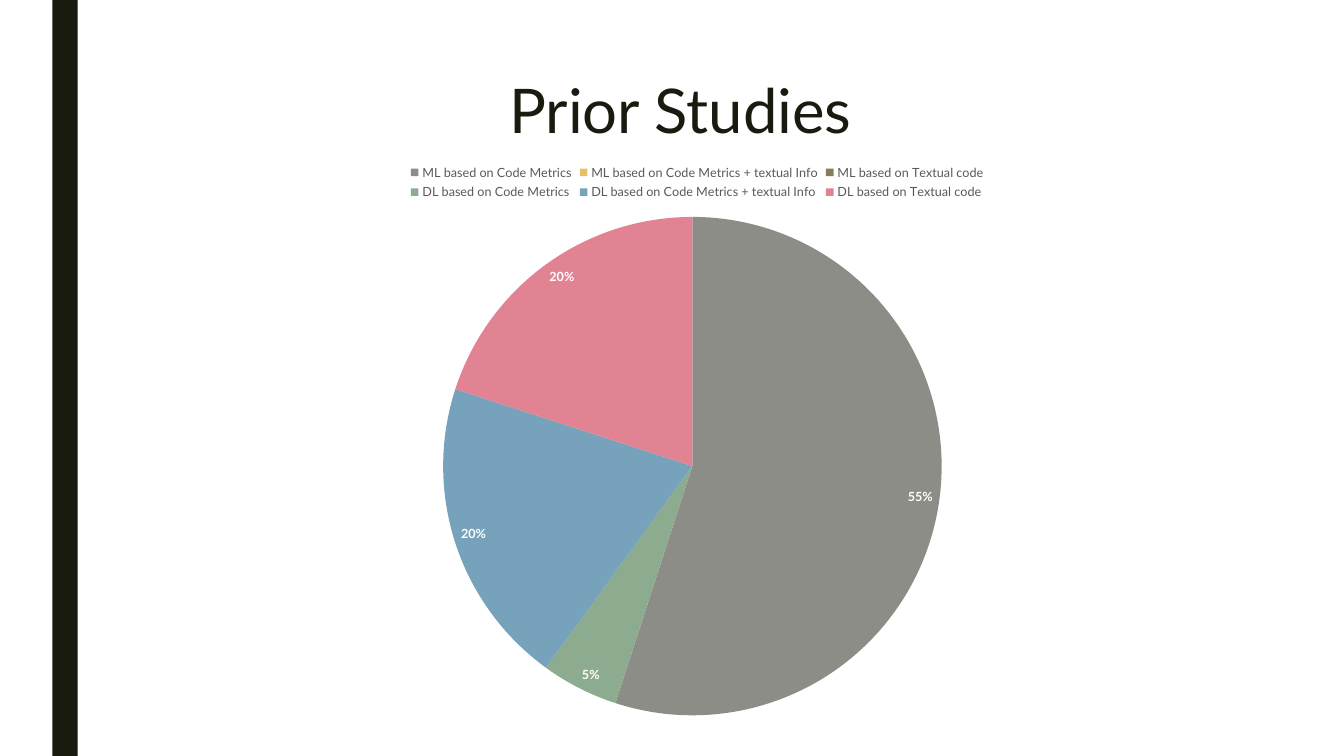
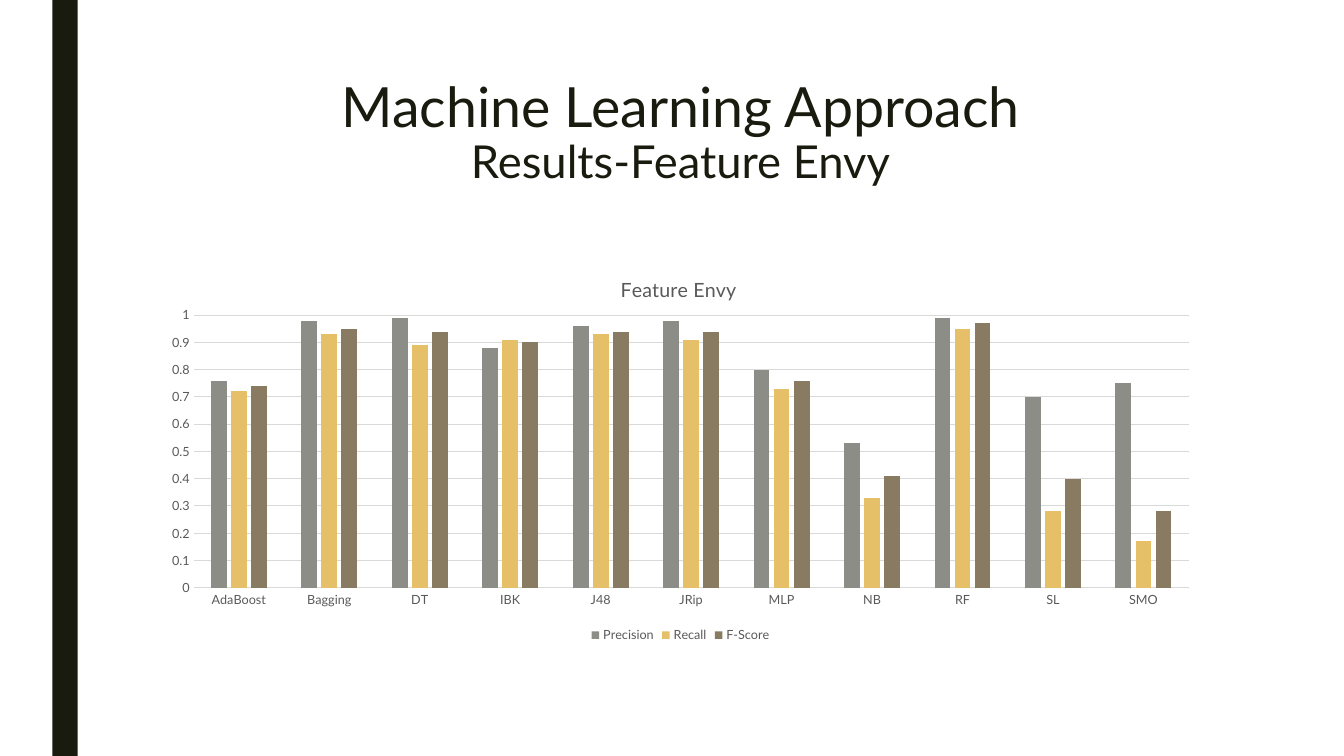
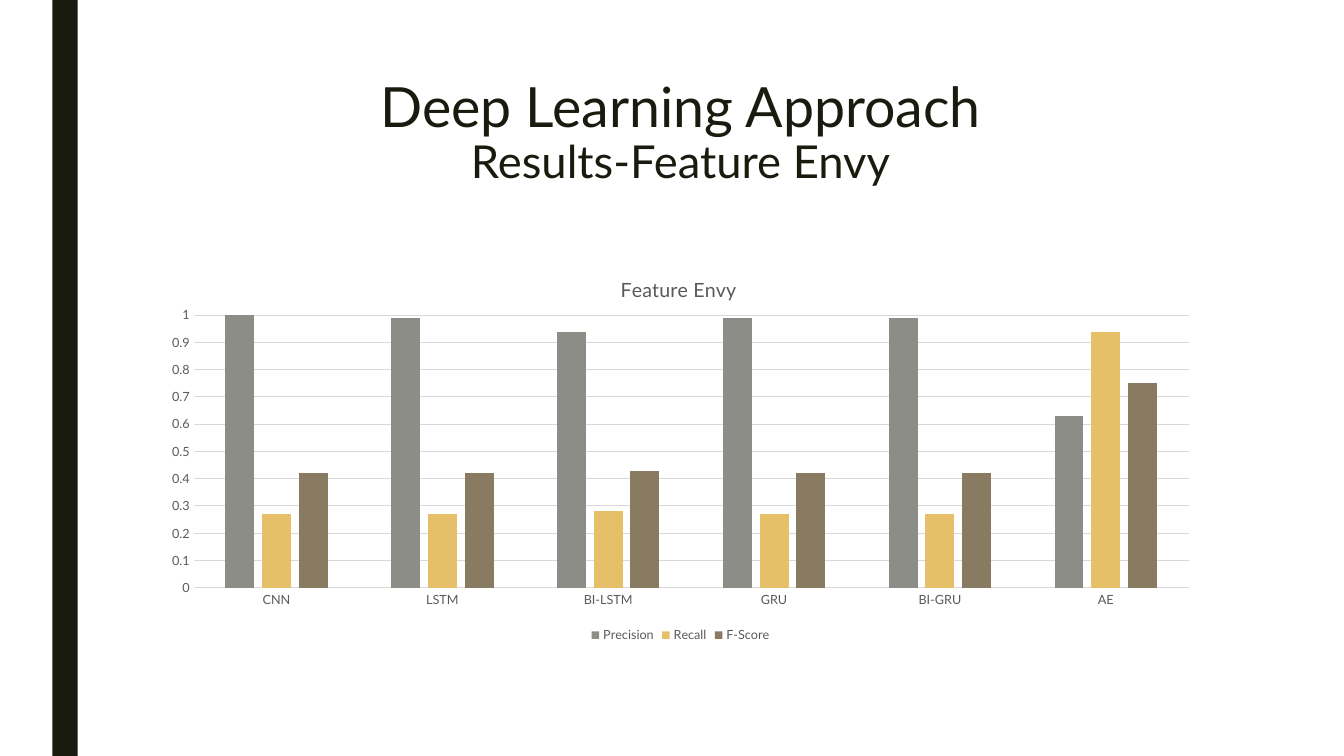
from dataclasses import dataclass

from lxml import etree
from pptx import Presentation
from pptx.chart.chart import Chart
from pptx.chart.data import CategoryChartData
from pptx.dml.color import RGBColor
from pptx.enum.chart import XL_CHART_TYPE, XL_LABEL_POSITION, XL_LEGEND_POSITION, XL_TICK_MARK
from pptx.enum.shapes import MSO_SHAPE
from pptx.enum.text import PP_ALIGN
from pptx.oxml.ns import qn
from pptx.slide import Slide
from pptx.util import Inches, Pt

PIE = XL_CHART_TYPE.PIE
COLUMN = XL_CHART_TYPE.COLUMN_CLUSTERED
INSIDE = XL_LABEL_POSITION.INSIDE_END
TOP = XL_LEGEND_POSITION.TOP
BOTTOM = XL_LEGEND_POSITION.BOTTOM
NO_TICK = XL_TICK_MARK.NONE
RECT = MSO_SHAPE.RECTANGLE
CENTER = PP_ALIGN.CENTER

FONT = "Lato"
INK = RGBColor(0x19, 0x1B, 0x0E)
WHITE = RGBColor(0xFF, 0xFF, 0xFF)
GREY = RGBColor(0x59, 0x59, 0x59)
RULE = RGBColor(0xD9, 0xD9, 0xD9)
COLORS = [
    RGBColor(0x8C, 0x8D, 0x86),
    RGBColor(0xE6, 0xC0, 0x69),
    RGBColor(0x89, 0x7B, 0x61),
    RGBColor(0x8D, 0xAB, 0x8E),
    RGBColor(0x77, 0xA2, 0xBB),
    RGBColor(0xE2, 0x83, 0x94),
]


@dataclass
class Line:
    text: str
    size: float


@dataclass
class Result:
    title: str
    names: list[str]
    scores: dict[str, list[float]]


STUDIES = {
    "ML based on Code Metrics": 55,
    "ML based on Code Metrics + textual Info": 0,
    "ML based on Textual code": 0,
    "DL based on Code Metrics": 5,
    "DL based on Code Metrics + textual Info": 20,
    "DL based on Textual code": 20,
}
RESULTS = [
    Result(
        "Machine Learning Approach",
        ["AdaBoost", "Bagging", "DT", "IBK", "J48", "JRip", "MLP", "NB", "RF", "SL", "SMO"],
        {
            "Precision": [0.76, 0.98, 0.99, 0.88, 0.96, 0.98, 0.8, 0.53, 0.99, 0.7, 0.75],
            "Recall": [0.72, 0.93, 0.89, 0.91, 0.93, 0.91, 0.73, 0.33, 0.95, 0.28, 0.17],
            "F-Score": [0.74, 0.95, 0.94, 0.9, 0.94, 0.94, 0.76, 0.41, 0.97, 0.4, 0.28],
        },
    ),
    Result(
        "Deep Learning Approach",
        ["CNN", "LSTM", "BI-LSTM", "GRU", "BI-GRU", "AE"],
        {
            "Precision": [1, 0.99, 0.94, 0.99, 0.99, 0.63],
            "Recall": [0.27, 0.27, 0.28, 0.27, 0.27, 0.94],
            "F-Score": [0.42, 0.42, 0.43, 0.42, 0.42, 0.75],
        },
    ),
]


def set_font(font, size: float, color: RGBColor, bold: bool = False) -> None:
    font.name = FONT
    font.size = Pt(size)
    font.color.rgb = color
    font.bold = bold


def add_slide(deck, lines: list[Line]) -> Slide:
    slide = deck.slides.add_slide(deck.slide_layouts[6])
    band = slide.shapes.add_shape(RECT, Inches(0.52), 0, Inches(0.25), deck.slide_height)
    band.shadow.inherit = False
    band.fill.solid()
    band.fill.fore_color.rgb = INK
    band.line.fill.background()
    box = slide.shapes.add_textbox(Inches(1.5), Inches(0.75), Inches(10.5), Inches(1.62))
    frame = box.text_frame
    frame.word_wrap = True
    for i, line in enumerate(lines):
        par = frame.add_paragraph() if i else frame.paragraphs[0]
        par.text = line.text
        par.alignment = CENTER
        par.line_spacing = 0.89
        set_font(par.font, line.size, INK)
    return slide


def place(node, spots: dict[str, float], inner: bool = False) -> None:
    layout = node.find(qn("c:layout"))
    if layout is None:
        layout = etree.Element(qn("c:layout"))
        text = node.find(qn("c:tx"))
        if text is None:
            node.insert(0, layout)
        else:
            text.addnext(layout)
    manual = etree.SubElement(layout, qn("c:manualLayout"))
    if inner:
        etree.SubElement(manual, qn("c:layoutTarget"), val="inner")
    for key in ("x", "y"):
        etree.SubElement(manual, qn(f"c:{key}Mode"), val="edge")
    for key, value in spots.items():
        etree.SubElement(manual, qn(f"c:{key}"), val=str(value))


def add_chart(slide: Slide, kind, data: CategoryChartData, area: tuple, side, plot: dict[str, float]) -> Chart:
    chart = slide.shapes.add_chart(kind, *map(Inches, area), data).chart
    chart.font.name = FONT
    chart.font.size = Pt(10)
    chart.has_title = False
    chart.has_legend = True
    chart.legend.position = side
    chart.legend.include_in_layout = False
    set_font(chart.legend.font, 9, GREY)
    place(chart.plots[0]._element.getparent(), plot, True)
    return chart


def add_pie(slide: Slide) -> None:
    data = CategoryChartData()
    data.categories = list(STUDIES)
    data.add_series("Series 1", list(STUDIES.values()))
    spots = {"x": 0.235, "y": 0.11, "w": 0.53, "h": 0.865}
    spots = {key: round(value, 2) for key, value in spots.items()}
    chart = add_chart(slide, PIE, data, (2.21, 1.52, 9.41, 5.75), TOP, spots)
    series = chart.plots[0].series[0]
    for i, color in enumerate(COLORS):
        fill = series.points[i].format.fill
        fill.solid()
        fill.fore_color.rgb = color
    labels = series.data_labels
    labels.show_percentage = True
    labels.show_value = False
    labels.number_format = "0%;;"
    labels.number_format_is_linked = False
    labels.position = INSIDE
    set_font(labels.font, 9, WHITE, True)


def add_bars(slide: Slide, result: Result) -> None:
    data = CategoryChartData()
    data.categories = result.names
    for name, values in result.scores.items():
        data.add_series(name, values)
    spots = {"x": 0.04, "y": 0.16, "w": 0.94, "h": 0.69}
    chart = add_chart(slide, COLUMN, data, (1.5, 2.5, 10.5, 3.92), BOTTOM, spots)
    chart.has_title = True
    par = chart.chart_title.text_frame.paragraphs[0]
    par.text = "Feature Envy"
    set_font(par.font, 14, GREY)
    place(chart.chart_title._element, {"x": 0.44, "y": 0.05})
    bars = chart.plots[0]
    bars.vary_by_categories = False
    bars.gap_width = 219
    bars.overlap = -27
    for series, color in zip(bars.series, COLORS):
        series.format.fill.solid()
        series.format.fill.fore_color.rgb = color
    base, scale = chart.category_axis, chart.value_axis
    for axis in (base, scale):
        axis.major_tick_mark = NO_TICK
        axis.minor_tick_mark = NO_TICK
        set_font(axis.tick_labels.font, 9, GREY)
    scale.minimum_scale = 0
    scale.maximum_scale = 1
    scale.major_unit = 0.1
    scale.tick_labels.number_format = "General"
    scale.tick_labels.number_format_is_linked = False
    scale.format.line.fill.background()
    for rule in (base.format.line, scale.major_gridlines.format.line):
        rule.color.rgb = RULE
        rule.width = Pt(0.75)


def main() -> None:
    deck = Presentation()
    deck.slide_width = Inches(13.33)
    deck.slide_height = Inches(7.5)
    add_pie(add_slide(deck, [Line("Prior Studies", 44)]))
    for result in RESULTS:
        lines = [Line(result.title, 39.6), Line("Results-Feature Envy", 32.4)]
        add_bars(add_slide(deck, lines), result)
    deck.save("out.pptx")


if __name__ == "__main__":
    main()
